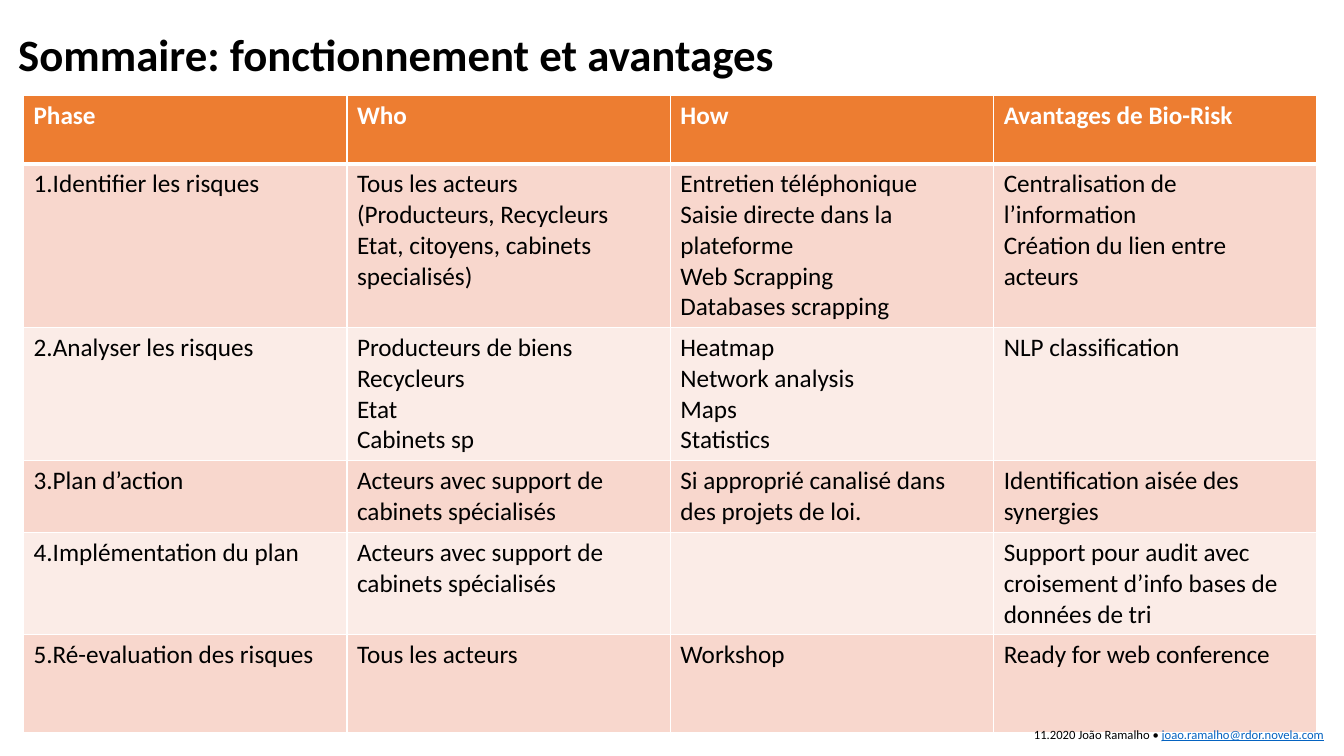
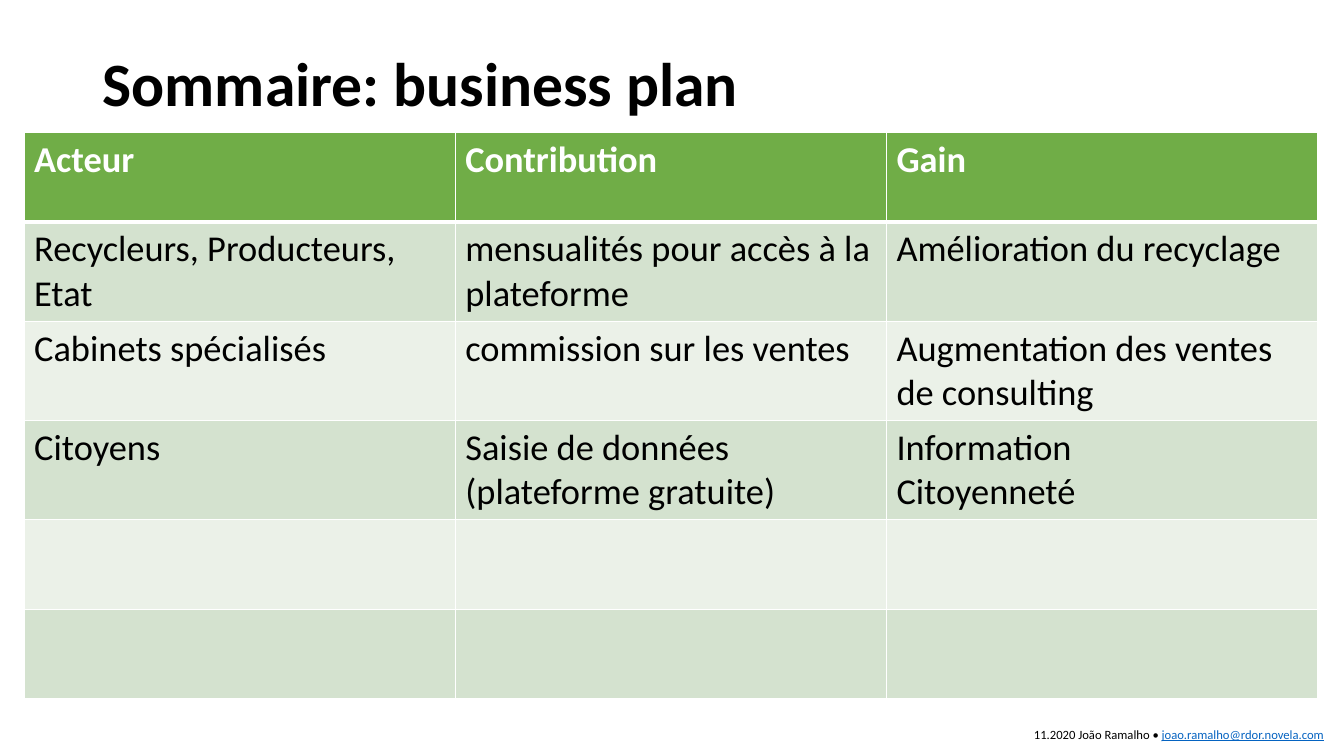
from dataclasses import dataclass

from lxml import etree
from pptx import Presentation
from pptx.dml.color import RGBColor
from pptx.enum.text import MSO_ANCHOR, MSO_AUTO_SIZE, PP_ALIGN
from pptx.oxml.ns import qn
from pptx.util import Pt

LEFT = PP_ALIGN.LEFT
MIDDLE = MSO_ANCHOR.MIDDLE
NO_FIT = MSO_AUTO_SIZE.NONE
TITLE_ONLY = 5


@dataclass(frozen=True)
class Box:
    left: float
    top: float
    width: float
    height: float

    def lengths(self):
        return Pt(self.left), Pt(self.top), Pt(self.width), Pt(self.height)


@dataclass(frozen=True)
class Palette:
    header: str
    bands: tuple


@dataclass(frozen=True)
class Theme:
    font: str = "Calibri"
    ink: str = "000000"
    paper: str = "FFFFFF"
    link: str = "0563C1"
    orange: Palette = Palette("ED7D31", ("F8D7CD", "FBECE7"))
    green: Palette = Palette("70AD47", ("D4E2CF", "EBF1E8"))
    title_small: int = 32
    title_large: int = 44
    table_small: int = 18
    table_large: int = 26
    footer: int = 9
    thin: float = 0.96
    thick: float = 3


THEME = Theme()
PAGE_WIDTH, PAGE_HEIGHT = 960, 540
FOOTER_BOX = Box(731.5, 515.5, 227.5, 28.8)

PHASES = [
    ["Phase", "Who", "How", "Avantages de Bio-Risk"],
    ["1.Identifier les risques",
     "Tous les acteurs\n(Producteurs, Recycleurs\nEtat, citoyens, cabinets specialisés)",
     "Entretien téléphonique\nSaisie directe dans la plateforme\nWeb Scrapping\nDatabases scrapping",
     "Centralisation de l’information\nCréation du lien entre acteurs"],
    ["2.Analyser les risques",
     "Producteurs de biens\nRecycleurs\nEtat\nCabinets sp",
     "Heatmap\nNetwork analysis\nMaps\nStatistics",
     "NLP classification"],
    ["3.Plan d’action",
     "Acteurs avec support de cabinets spécialisés",
     "Si approprié canalisé dans des projets de loi.",
     "Identification aisée des synergies"],
    ["4.Implémentation du plan",
     "Acteurs avec support de cabinets spécialisés",
     "",
     "Support pour audit avec croisement d’info bases de données de tri"],
    ["5.Ré-evaluation des risques", "Tous les acteurs", "Workshop",
     "Ready for web conference"],
]
PHASE_HEIGHTS = [49, 111.6, 90.7, 49, 69.8, 69.8]

ACTORS = [
    ["Acteur", "Contribution", "Gain"],
    ["Recycleurs, Producteurs, Etat", "mensualités pour accès à la plateforme",
     "Amélioration du recyclage"],
    ["Cabinets spécialisés", "commission sur les ventes",
     "Augmentation des ventes de consulting"],
    ["Citoyens", "Saisie de données\n(plateforme gratuite)",
     "Information\nCitoyenneté"],
    [""] * 3,
    [""] * 3,
]
ACTOR_HEIGHTS = [64.1] * len(ACTORS)


def add_span(para, text, *, size, color=THEME.ink, bold=False, underline=False):
    span = para.add_run()
    span.text = text
    span.font.name = THEME.font
    span.font.size = Pt(size)
    span.font.bold = bold
    span.font.underline = underline
    span.font.color.rgb = RGBColor.from_string(color)


def add_title(page, box, text, size):
    title = page.shapes.title
    title.left, title.top, title.width, title.height = box.lengths()
    frame = title.text_frame
    frame.auto_size = NO_FIT
    frame.vertical_anchor = MIDDLE
    para = frame.paragraphs[0]
    para.alignment = LEFT
    para.line_spacing = 0.9
    add_span(para, text, size=size, bold=True)


def set_borders(cell, top, bottom):
    """Draw the four edges; they must precede the fill in the cell properties."""
    widths = {"a:lnL": THEME.thin, "a:lnR": THEME.thin, "a:lnT": top, "a:lnB": bottom}
    properties = cell._tc.get_or_add_tcPr()
    for index, (tag, width) in enumerate(widths.items()):
        line = etree.Element(qn(tag), w=str(Pt(width)))
        fill = etree.SubElement(line, qn("a:solidFill"))
        etree.SubElement(fill, qn("a:srgbClr"), val=THEME.paper)
        properties.insert(index, line)


def fill_cell(cell, text, fill, **style):
    cell.fill.solid()
    cell.fill.fore_color.rgb = RGBColor.from_string(fill)
    if not text:
        return
    frame = cell.text_frame
    for index, line in enumerate(text.split("\n")):
        para = frame.add_paragraph() if index else frame.paragraphs[0]
        add_span(para, line, **style)


def add_banded_table(page, box, rows, heights, palette, size):
    columns = len(rows[0])
    table = page.shapes.add_table(len(rows), columns, *box.lengths()).table
    for column in table.columns:
        column.width = Pt(box.width / columns)
    for row, (texts, height) in enumerate(zip(rows, heights)):
        table.rows[row].height = Pt(height)
        header = row == 0
        fill = palette.header if header else palette.bands[(row - 1) % 2]
        color = THEME.paper if header else THEME.ink
        top = THEME.thick if row == 1 else THEME.thin
        bottom = THEME.thick if header else THEME.thin
        for column, text in enumerate(texts):
            cell = table.cell(row, column)
            fill_cell(cell, text, fill, size=size, color=color, bold=header)
            set_borders(cell, top, bottom)


def add_footer(page, box):
    frame = page.shapes.add_textbox(*box.lengths()).text_frame
    frame.word_wrap = True
    para = frame.paragraphs[0]
    add_span(para, "11.2020 João Ramalho • ", size=THEME.footer)
    add_span(para, "joao.ramalho@rdor.novela.com", size=THEME.footer,
             color=THEME.link, underline=True)


def add_summary(deck, title, title_box, title_size, table_box, rows, heights,
                palette, table_size):
    page = deck.slides.add_slide(deck.slide_layouts[TITLE_ONLY])
    add_title(page, title_box, title, title_size)
    add_banded_table(page, table_box, rows, heights, palette, table_size)
    add_footer(page, FOOTER_BOX)


def main():
    deck = Presentation()
    deck.slide_width, deck.slide_height = Pt(PAGE_WIDTH), Pt(PAGE_HEIGHT)

    # How it works and its benefits
    add_summary(deck, "Sommaire: fonctionnement et avantages",
                Box(5.8, 7.9, 828, 65.5), THEME.title_small,
                Box(16.8, 68, 924, sum(PHASE_HEIGHTS)), PHASES, PHASE_HEIGHTS,
                THEME.orange, THEME.table_small)

    # Business plan
    add_summary(deck, "Sommaire: business plan",
                Box(66.2, 28.8, 828, 65.5), THEME.title_large,
                Box(17.2, 94.5, 924, sum(ACTOR_HEIGHTS)), ACTORS, ACTOR_HEIGHTS,
                THEME.green, THEME.table_large)

    deck.save("out.pptx")


if __name__ == "__main__":
    main()
